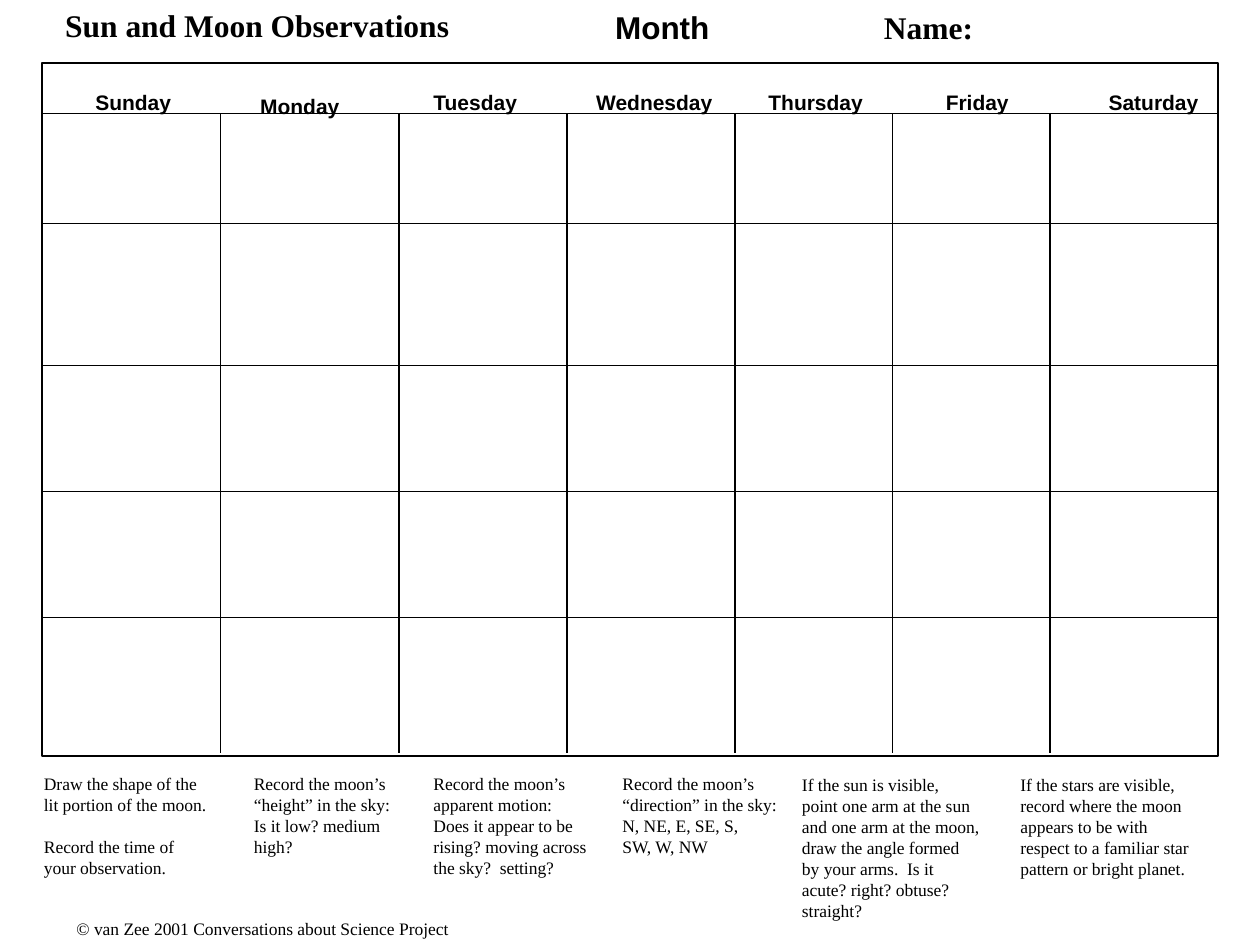
import dataclasses

import pptx
import pptx.dml.color
import pptx.enum.shapes
import pptx.enum.text
import pptx.oxml.ns
import pptx.util
import lxml.etree


@dataclasses.dataclass(frozen=True)
class Theme:
    ink: pptx.dml.color.RGBColor = pptx.dml.color.RGBColor(0, 0, 0)
    paper: pptx.dml.color.RGBColor = pptx.dml.color.RGBColor(255, 255, 255)
    serif: str = "Times New Roman"
    sans: str = "Arial"
    heading_size: int = 18
    day_size: int = 12
    note_size: int = 10
    line_width: float = 1


@dataclasses.dataclass(frozen=True)
class Box:
    left: float
    top: float
    width: float
    height: float

    def inside(self, left, top, width, height):
        return Box(self.left + left, self.top + top, width, height)


THEME = Theme()
SLIDE_WIDTH = pptx.util.Inches(10)
SLIDE_HEIGHT = pptx.util.Inches(7.5)
GRID_COLUMNS, GRID_ROWS = 120, 90

DAYS = [
    ("Sunday", 3.9, 1.9, 9.6),
    ("Monday", 19.6, 2.3, 10),
    ("Tuesday", 36.1, 1.9, 10.4),
    ("Wednesday", 51.6, 1.9, 13.4),
    ("Thursday", 68, 1.9, 11.4),
    ("Friday", 84.9, 1.9, 8.4),
    ("Saturday", 100.4, 1.9, 10.9),
]
DAY_DIVIDERS = [17, 34, 50, 66, 81, 96]
WEEK_DIVIDERS = [4.8, 15.3, 28.8, 40.8, 52.8]

INSTRUCTIONS = [
    (0, 0, 17.9, False, ["Draw the shape of the", "lit portion of the moon.",
                         "Record the time of", "your observation."]),
    (20, 0, 18.1, True, ["Record the moon’s", "“height” in the sky:",
                         "Is it low? medium high?"]),
    (37.1, 0, 16.9, False, ["Record the moon’s", "apparent motion:",
                            "Does it appear to be", "rising? moving across",
                            "the sky?  setting?"]),
    (55.1, 0, 17, False, ["Record the moon’s", "“direction” in the sky:",
                          "N, NE, E, SE, S,", "SW, W, NW"]),
    (72.2, 0.1, 22, True, ["If the sun is visible,", "point one arm at the sun",
                           "and one arm at the moon,", "draw the angle formed",
                           "by your arms.  Is it", "acute? right? obtuse?",
                           "straight?"]),
    (93, 0.1, 19, True, ["If the stars are visible,", "record where the moon",
                         "appears to be with respect to a familiar star "
                         "pattern or bright planet."]),
]


def across(columns):
    return round(SLIDE_WIDTH * columns / GRID_COLUMNS)


def down(rows):
    return round(SLIDE_HEIGHT * rows / GRID_ROWS)


def place(box):
    return across(box.left), down(box.top), across(box.width), down(box.height)


def write_text(shape, lines, size, font=THEME.serif, bold=False, wrap=False):
    frame = shape.text_frame
    frame.word_wrap = wrap
    frame.auto_size = pptx.enum.text.MSO_AUTO_SIZE.NONE
    frame.vertical_anchor = pptx.enum.text.MSO_ANCHOR.TOP
    frame.text = "\n".join(lines)
    for paragraph in frame.paragraphs:
        paragraph.alignment = pptx.enum.text.PP_ALIGN.LEFT
        paragraph.line_spacing = 1.0
        paragraph.space_before = pptx.util.Pt(0)
        paragraph.font.size = pptx.util.Pt(size)
        paragraph.font.name = font
        paragraph.font.bold = bold
        paragraph.font.color.rgb = THEME.ink
    return frame


def add_text(slide, box, lines, size, **text_format):
    shape = slide.shapes.add_textbox(*place(box))
    return write_text(shape, lines, size, **text_format)


def add_line(slide, start, end):
    line = slide.shapes.add_connector(
        pptx.enum.shapes.MSO_CONNECTOR.STRAIGHT,
        across(start[0]), down(start[1]), across(end[0]), down(end[1]))
    line.line.color.rgb = THEME.ink
    line.line.width = pptx.util.Pt(THEME.line_width)
    properties = line.element.find(pptx.oxml.ns.qn("p:spPr"))
    lxml.etree.SubElement(properties, pptx.oxml.ns.qn("a:effectLst"))


def build_header(slide, box):
    title = slide.shapes.title
    title.left, title.top, title.width, title.height = place(box.inside(0, 0, 39, 4.8))
    write_text(title, ["Sun and Moon Observations"], THEME.heading_size, bold=True)
    add_text(slide, box.inside(52.4, 0.2, 20, 4.8), ["Month"],
             THEME.heading_size, font=THEME.sans, bold=True, wrap=True)
    add_text(slide, box.inside(78, 0.2, 15, 4.8), ["Name:"],
             THEME.heading_size, bold=True, wrap=True)


def build_calendar(slide, box):
    frame = slide.shapes.add_shape(pptx.enum.shapes.MSO_SHAPE.RECTANGLE, *place(box))
    frame.shadow.inherit = False
    frame.fill.solid()
    frame.fill.fore_color.rgb = THEME.paper
    frame.line.color.rgb = THEME.ink
    frame.line.width = pptx.util.Pt(THEME.line_width)
    for day, left, top, width in DAYS:
        add_text(slide, box.inside(left, top, width, 3.6), [day],
                 THEME.day_size, font=THEME.sans, bold=True)
    header_bottom = box.top + WEEK_DIVIDERS[0]
    for column in DAY_DIVIDERS:
        x = box.left + column
        add_line(slide, (x, header_bottom), (x, box.top + box.height - 0.3))
    for row in WEEK_DIVIDERS:
        y = box.top + row
        add_line(slide, (box.left, y), (box.left + box.width, y))


def build_instructions(slide, box):
    for left, top, width, wrap, lines in INSTRUCTIONS:
        frame = add_text(slide, box.inside(left, top, width, box.height), lines,
                         THEME.note_size, wrap=wrap)
        if left == 0:
            frame.paragraphs[1].space_after = pptx.util.Pt(12)


def build_credit(slide, box):
    add_text(slide, box, ["© van Zee 2001 Conversations about Science Project"],
             THEME.note_size)


def main():
    presentation = pptx.Presentation()
    presentation.slide_width = SLIDE_WIDTH
    presentation.slide_height = SLIDE_HEIGHT
    title_only = presentation.slide_layouts.get_by_name("Title Only")
    slide = presentation.slides.add_slide(title_only)
    build_header(slide, Box(5, 0, 110, 5))
    build_calendar(slide, Box(4, 6, 112, 66))
    build_instructions(slide, Box(3, 73, 112, 15))
    build_credit(slide, Box(6.1, 86.8, 37.8, 3.2))
    presentation.save("out.pptx")


if __name__ == "__main__":
    main()
